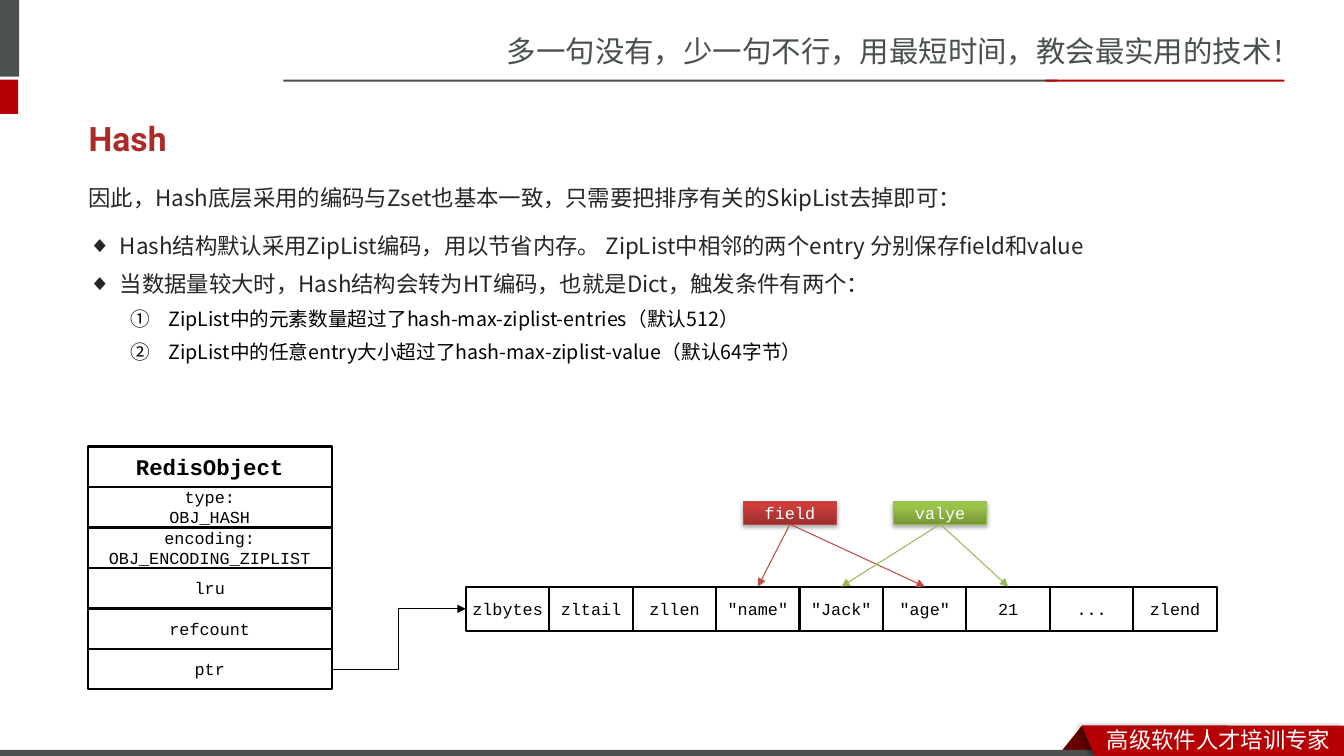
from lxml import etree
from pptx import Presentation
from pptx.dml.color import RGBColor
from pptx.enum import shapes, text
from pptx.oxml import ns
from pptx.util import Inches, Pt

COLORS = dict(white="FFFFFF", black="000000", gray="49504F", red="B60004", dark_red="680000",
              title="AD2B26", body="262626", field="BF4C48", value="98B955")
SANS, CJK, MONO = "Noto Sans CJK SC", "Noto Sans CJK JP", "Courier New"

SLOGAN = "多一句没有，少一句不行，用最短时间，教会最实用的技术！"
BADGE = "高级软件人才培训专家"
TITLE = "Hash"
INTRO = "因此，Hash底层采用的编码与Zset也基本一致，只需要把排序有关的SkipList去掉即可："
BULLETS = [  # level, text
    (0, "Hash结构默认采用ZipList编码，用以节省内存。 ZipList中相邻的两个entry 分别保存field和value"),
    (0, "当数据量较大时，Hash结构会转为HT编码，也就是Dict，触发条件有两个："),
    (1, "ZipList中的元素数量超过了hash-max-ziplist-entries（默认512）"),
    (1, "ZipList中的任意entry大小超过了hash-max-ziplist-value（默认64字节）"),
]
LEVELS = [  # size, colour, left indent, hanging indent, bullet tag, bullet attributes
    (16, "body", 0.31, -0.31, "a:buChar", {"char": "◆"}),
    (14, "black", 0.79, -0.38, "a:buAutoNum", {"type": "circleNumDbPlain"}),
]
OBJECT_ROWS = ["RedisObject", "type:\nOBJ_HASH", "encoding:\nOBJ_ENCODING_ZIPLIST",
               "lru", "refcount", "ptr"]
ZIPLIST = ["zlbytes", "zltail", "zllen", '"name"', '"Jack"', '"age"', "21", "...", "zlend"]
LABELS = [  # text, colour, left, gradient stops, target cells
    ("field", "field", 7.37, [(0, "9C2F2D"), (80, "CB3E3A"), (100, "CE3B37")], (3, 5)),
    ("valye", "value", 8.86, [(0, "779737"), (80, "9BC348"), (100, "9DC746")], (4, 6)),
]
BARS = [  # colour, left, top, width, height
    ("gray", 0, 0, 0.19, 0.76),
    ("red", 0, 0.79, 0.18, 0.34),
    ("gray", 2.81, 0.79, 7.68, 0.02),
    ("red", 10.37, 0.79, 2.37, 0.02),
    ("gray", 0, 7.44, 10.99, 0.06),
]
BANNER = [(10.73, 7.2), (13.33, 7.2), (13.33, 7.5), (10.86, 7.5)]
LINE_SPACING = 1.24

prs = Presentation()
prs.slide_width, prs.slide_height = Inches(13.33), Inches(7.5)
slide = prs.slides.add_slide(prs.slide_layouts[1])


def rgb(name):
    return RGBColor.from_string(COLORS[name])


def add_xml(parent, tag, **attrs):
    return etree.SubElement(parent, ns.qn(tag), attrs)


def set_font(p, face, size, color, bold=False):
    for name, value in dict(name=face, size=Pt(size), bold=bold).items():
        setattr(p.font, name, value)
    p.font.color.rgb = rgb(color)
    for r in p.runs:
        r.font.name = face
        add_xml(r.font._element, "a:ea", typeface=face)


def place(sp, *box):
    sp.left, sp.top, sp.width, sp.height = map(Inches, box)


def add_text(box, content, *font):
    sp = slide.shapes.add_textbox(*map(Inches, box))
    tf = sp.text_frame
    tf.word_wrap = True
    tf.text = content
    set_font(tf.paragraphs[0], *font)
    return tf.paragraphs[0]


def paint(sp, fill, line=None, width=1.5):
    sp.shadow.inherit = False
    sp.fill.solid()
    sp.fill.fore_color.rgb = rgb(fill)
    if line:
        sp.line.color.rgb = rgb(line)
        sp.line.width = Pt(width)
    else:
        sp.line.fill.background()
    return sp


def add_shape(box, *style, kind=shapes.MSO_SHAPE.RECTANGLE):
    return paint(slide.shapes.add_shape(kind, *map(Inches, box)), *style)


def add_cell(box, content, fill="white", line="black", width=1.5, color="black", size=12, bold=False):
    sp = add_shape(box, fill, line, width)
    tf = sp.text_frame
    tf.margin_left = tf.margin_right = 0
    tf.vertical_anchor = text.MSO_ANCHOR.MIDDLE
    tf.text = content
    for p in tf.paragraphs:
        p.alignment = text.PP_ALIGN.CENTER
        set_font(p, MONO, size, color, bold)
    return sp


def add_shadow(sp, alpha, blur, dist, angle):
    effects = sp._element.spPr.find(ns.qn("a:effectLst"))
    shadow = add_xml(effects, "a:outerShdw", blurRad=str(Pt(blur)), dist=str(Pt(dist)),
                     dir=str(angle * 60000), rotWithShape="0")
    color = add_xml(shadow, "a:srgbClr", val=COLORS["black"])
    add_xml(color, "a:alpha", val=str(alpha * 1000))


def set_gradient(sp, stops):
    sp.fill.gradient()
    sp.fill.gradient_angle = 90
    gs_list = sp._element.spPr.find(".//" + ns.qn("a:gsLst"))
    for gs in list(gs_list):
        gs_list.remove(gs)
    for pos, color in stops:
        add_xml(add_xml(gs_list, "a:gs", pos=str(pos * 1000)), "a:srgbClr", val=color)


def add_arrow(start, start_side, end, end_side, color, kind=shapes.MSO_CONNECTOR.STRAIGHT):
    line = slide.shapes.add_connector(kind, 0, 0, 0, 0)
    line.begin_connect(start, start_side)
    line.end_connect(end, end_side)
    line.line.color.rgb = rgb(color)
    line.line.width = Pt(0.75)
    add_xml(line.line._get_or_add_ln(), "a:tailEnd", type="triangle")
    add_xml(line._element.spPr, "a:effectLst")


# Frame
fold = add_shape((10.49, 7.2, 1.68, 0.3), "dark_red", kind=shapes.MSO_SHAPE.PARALLELOGRAM)
fold.adjustments[0] = 0.8
add_text((4.93, 0.28, 8.4, 0.47), SLOGAN, SANS, 21, "gray")
for color, *box in BARS:
    add_shape(box, color)
points = [(Inches(x), Inches(y)) for x, y in BANNER]
outline = slide.shapes.build_freeform(*points[0])
outline.add_line_segments(points[1:], close=True)
add_shadow(paint(outline.convert_to_shape(), "red"), 40, 4, 3, 180)
add_text((10.88, 7.15, 2.45, 0.37), BADGE, SANS, 16, "white")

# Title and text
title, body = slide.placeholders
place(title, 0.78, 1.16, 11.7, 0.42)
title.text_frame.text = TITLE
title.text_frame.vertical_anchor = text.MSO_ANCHOR.MIDDLE
title.text_frame.paragraphs[0].alignment = text.PP_ALIGN.LEFT
set_font(title.text_frame.paragraphs[0], "Roboto", 24, "title", True)

add_text((0.78, 1.71, 11.7, 0.6), INTRO, CJK, 16, "body").line_spacing = LINE_SPACING

place(body, 0.78, 2.19, 11.7, 1.86)
tf = body.text_frame
tf.auto_size = text.MSO_AUTO_SIZE.NONE
tf.text = "\n".join(content for _, content in BULLETS)
for i, (p, (level, _)) in enumerate(zip(tf.paragraphs, BULLETS)):
    size, color, left, hanging, tag, attrs = LEVELS[level]
    p.level = level
    p.line_spacing = LINE_SPACING
    p.space_before = Pt(size * 0.2 if i else 0)
    pPr = p._p.get_or_add_pPr()
    pPr.set("marL", str(Inches(left)))
    pPr.set("indent", str(Inches(hanging)))
    add_xml(pPr, tag, **attrs)
    set_font(p, CJK, size, color)

# Diagram
rows = [add_cell((0.87, 4.43 + 0.402 * i, 2.42, 0.4), content,
                 size=12 if i else 16, bold=not i) for i, content in enumerate(OBJECT_ROWS)]
cells = [add_cell((4.62 + 0.8275 * i, 5.82, 0.83, 0.44), content)
         for i, content in enumerate(ZIPLIST)]
add_arrow(rows[-1], 3, cells[0], 1, "black", shapes.MSO_CONNECTOR.ELBOW)
for content, color, left, stops, targets in LABELS:
    label = add_cell((left, 4.98, 0.93, 0.22), content, color, color, 0.75, "white")
    set_gradient(label, stops)
    add_shadow(label, 35, 3.1, 1.8, 90)
    for target in targets:
        add_arrow(label, 2, cells[target], 0, color)

prs.save("out.pptx")
